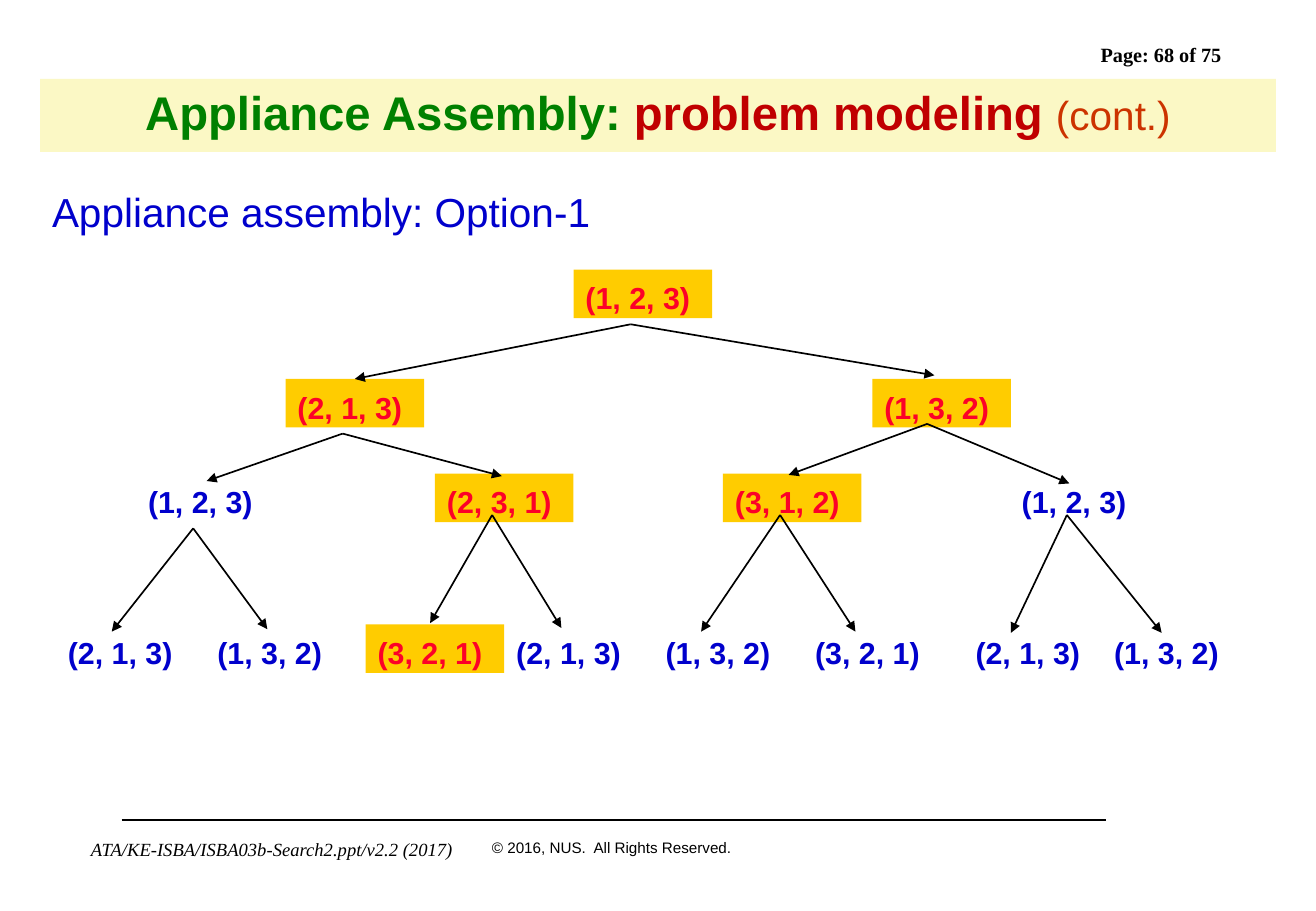
"""Build the appliance assembly search tree slide."""
from lxml.etree import SubElement
from pptx import Presentation
from pptx.dml.color import RGBColor
from pptx.enum.shapes import MSO_CONNECTOR as Connector, MSO_SHAPE as Shape
from pptx.enum.text import MSO_ANCHOR as Anchor, MSO_AUTO_SIZE as AutoSize, PP_ALIGN as Align
from pptx.oxml.ns import qn
from pptx.util import Inches, Pt

COLORS = {
    "black": "000000", "banner": "FBF8C5", "green": "008000", "crimson": "C00000",
    "rust": "CC3300", "blue": "0000CC", "gold": "FFCC00", "red": "FC0128",
}


def add_run(paragraph, text, size, color, font="Arial", bold=False, italic=False):
    run = paragraph.add_run()
    run.text = text
    run.font.name = font
    run.font.size = Pt(size)
    run.font.bold = bold
    run.font.italic = italic
    run.font.color.rgb = RGBColor.from_string(COLORS[color])


def add_line(start, end, arrow=False):
    line = slide.shapes.add_connector(
        Connector.STRAIGHT, *(Inches(value) for value in (*start, *end)))
    line.line.color.rgb = RGBColor.from_string(COLORS["black"])
    line.line.width = Pt(1)
    if arrow:
        SubElement(line.line._get_or_add_ln(), qn("a:tailEnd"), type="triangle")
    SubElement(line._element.spPr, qn("a:effectLst"))


presentation = Presentation()
presentation.slide_width = Inches(10.83)
presentation.slide_height = Inches(7.5)
slide = presentation.slides.add_slide(presentation.slide_layouts[5])

title = slide.shapes.title
title.left, title.top = Inches(0.33), Inches(0.65)
title.width, title.height = Inches(10.17), Inches(0.6)
title.fill.solid()
title.fill.fore_color.rgb = RGBColor.from_string(COLORS["banner"])
title.text_frame.auto_size = AutoSize.NONE
title.text_frame.word_wrap = True
title.text_frame.vertical_anchor = Anchor.MIDDLE
paragraph = title.text_frame.paragraphs[0]
paragraph.alignment = Align.CENTER
paragraph.line_spacing = 0.9
add_run(paragraph, "Appliance Assembly: ", 28, "green", bold=True)
add_run(paragraph, "problem modeling ", 28, "crimson", bold=True)
add_run(paragraph, "(cont.)", 24, "rust")

add_line((1, 6.75), (9.1, 6.75))

serif = "Times New Roman"
captions = [
    (8.96, 0.3, 1.44, 0.3, 1, "Page: 68 of 75", 12, "black", serif, True, False),
    (0.65, 6.85, 3.22, 0.28, 1, "ATA/KE-ISBA/ISBA03b-Search2.ppt/v2.2 (2017)", 11, "black", serif, False, True),
    (3.95, 6.85, 2.19, 0.25, 1, "© 2016, NUS.  All Rights Reserved.", 9, "black", "Arial", False, False),
    (0.33, 1.37, 10.17, 0.65, 1.3, "Appliance assembly: Option-1", 24, "blue", "Arial", False, False),
]
for left, top, width, height, spacing, *run_style in captions:
    caption = slide.shapes.add_textbox(Inches(left), Inches(top), Inches(width), Inches(height))
    caption.text_frame.word_wrap = spacing > 1
    paragraph = caption.text_frame.paragraphs[0]
    paragraph.line_spacing = spacing
    add_run(paragraph, *run_style)

tree_levels = [
    (2.22, [(4.72, "(1, 2, 3)", True)]),
    (3.12, [(2.35, "(2, 1, 3)", True), (7.18, "(1, 3, 2)", True)]),
    (3.9, [(1.12, "(1, 2, 3)", False), (3.58, "(2, 3, 1)", True),
           (5.95, "(3, 1, 2)", True), (8.31, "(1, 2, 3)", False)]),
    (5.14, [(0.46, "(2, 1, 3)", False), (1.69, "(1, 3, 2)", False),
            (3.01, "(3, 2, 1)", True), (4.15, "(2, 1, 3)", False),
            (5.38, "(1, 3, 2)", False), (6.61, "(3, 2, 1)", False),
            (7.93, "(2, 1, 3)", False), (9.07, "(1, 3, 2)", False)]),
]
for top, nodes in tree_levels:
    for left, state, on_path in nodes:
        box = Inches(left), Inches(top), Inches(1.14), Inches(0.4)
        if on_path:
            node = slide.shapes.add_shape(Shape.RECTANGLE, *box)
            node.shadow.inherit = False
            node.fill.solid()
            node.fill.fore_color.rgb = RGBColor.from_string(COLORS["gold"])
            node.line.fill.background()
        else:
            node = slide.shapes.add_textbox(*box)
        frame = node.text_frame
        frame.word_wrap = True
        frame.vertical_anchor = Anchor.TOP
        frame.margin_top, frame.margin_bottom = Inches(0.08), Inches(0.02)
        paragraph = frame.paragraphs[0]
        paragraph.alignment = Align.LEFT
        add_run(paragraph, state, 18, "red" if on_path else "blue", bold=True)

forks = [
    ((5.19, 2.67), (2.92, 3.12), (7.69, 3.09)),
    ((2.82, 3.57), (1.7, 3.96), (4.13, 3.92)),
    ((7.63, 3.49), (6.49, 3.91), (8.8, 3.98)),
    ((1.59, 4.35), (0.92, 5.2), (2.2, 5.18)),
    ((4.05, 4.24), (3.54, 5.13), (4.62, 5.17)),
    ((6.42, 4.24), (5.77, 5.2), (7.04, 5.2)),
    ((8.78, 4.24), (8.32, 5.21), (9.56, 5.21)),
]
for parent, *children in forks:
    for child in children:
        add_line(parent, child, arrow=True)

presentation.save("out.pptx")
